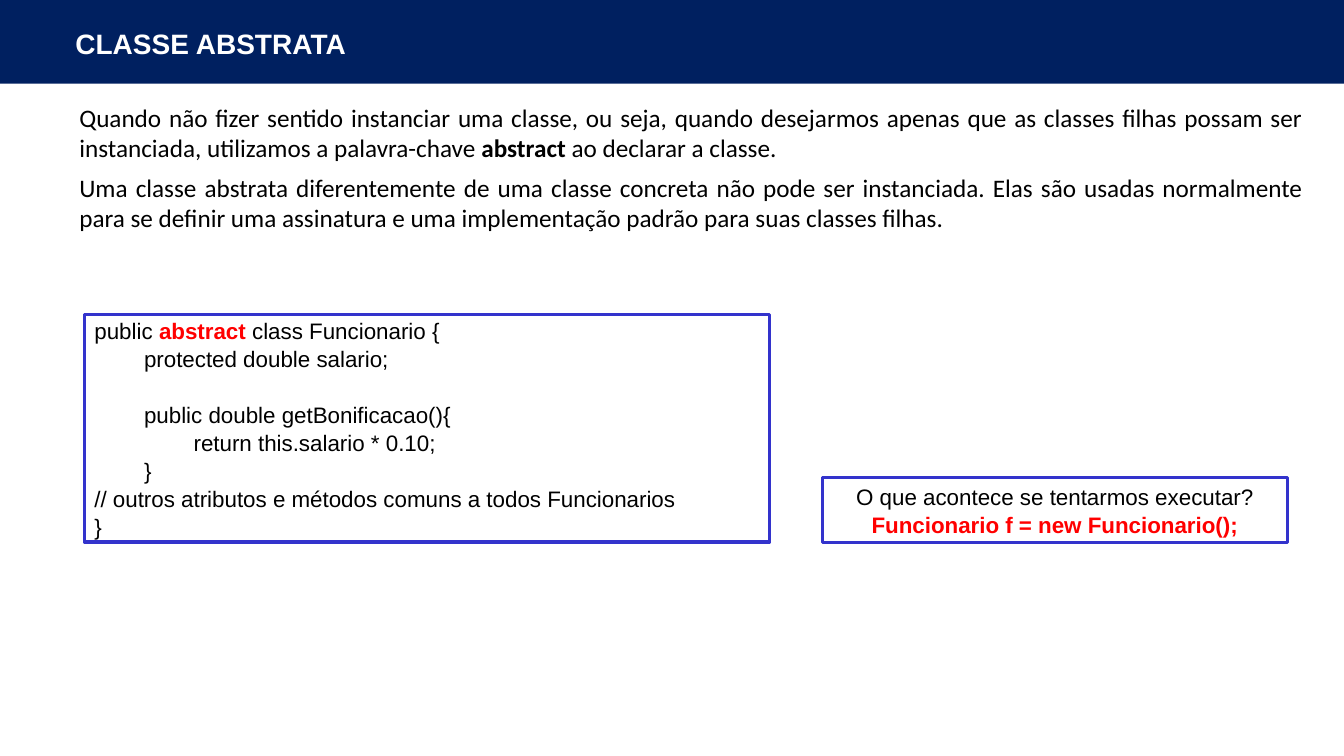
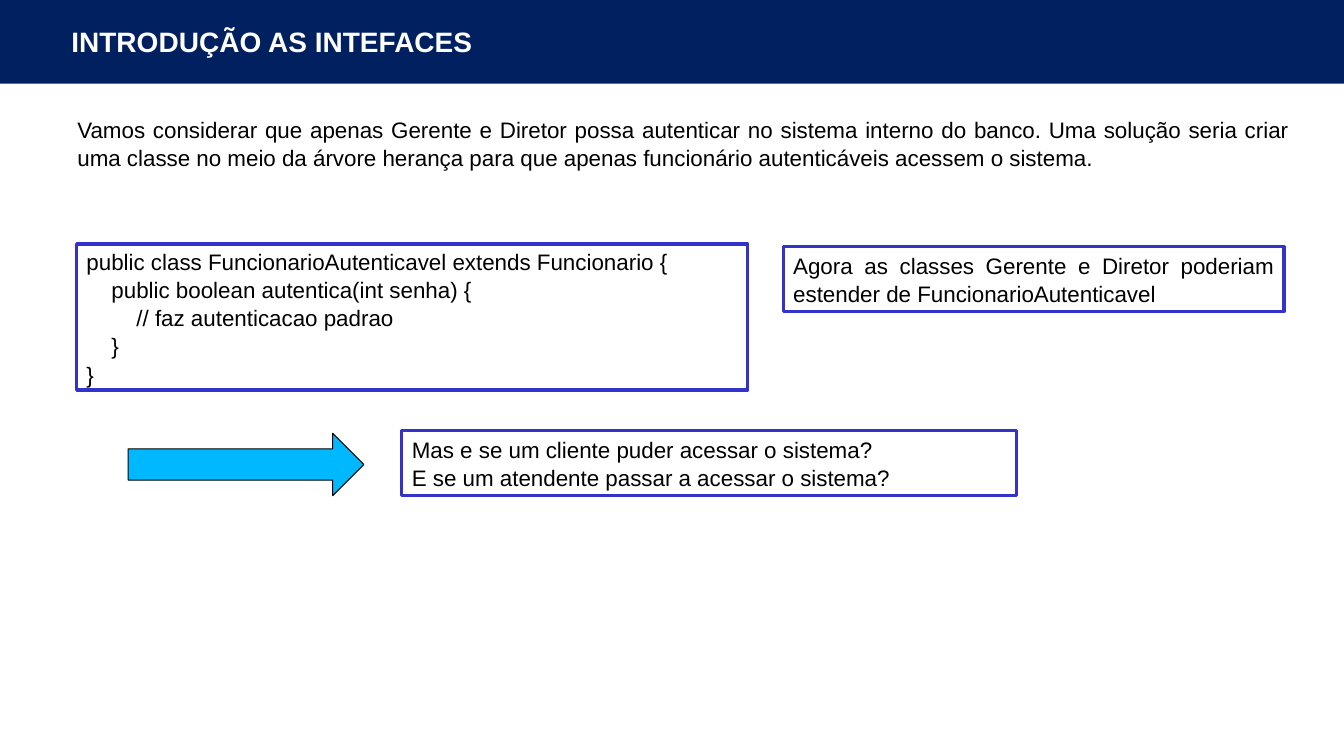
from dataclasses import dataclass

from pptx import Presentation
from pptx.dml.color import RGBColor
from pptx.enum.shapes import MSO_SHAPE
from pptx.enum.text import MSO_ANCHOR, PP_ALIGN
from pptx.util import Cm, Pt


@dataclass(frozen=True)
class Theme:
    navy: RGBColor = RGBColor(0x00, 0x20, 0x60)
    frame: RGBColor = RGBColor(0x33, 0x33, 0xCC)
    arrow: RGBColor = RGBColor(0x00, 0xB8, 0xFF)
    accent: RGBColor = RGBColor(0xFF, 0x00, 0x00)
    black: RGBColor = RGBColor(0x00, 0x00, 0x00)
    white: RGBColor = RGBColor(0xFF, 0xFF, 0xFF)
    font: str = "Arial"
    reading_font: str = "Calibri"
    title_size: int = 20
    reading_size: int = 18
    text_size: int = 16
    line_spacing: float = 1.05
    reading_spacing: float = 0.98
    frame_width: float = 2.25


THEME = Theme()
PAGE_WIDTH, PAGE_HEIGHT = Cm(33.87), Cm(19.05)
BAND_HEIGHT = Cm(2.11)


@dataclass(frozen=True)
class Line:
    """One paragraph; words between ** marks are emphasised."""
    text: str
    level: int = 0
    before: float = 0


def write_text(shape, lines, *, font=THEME.font, size=THEME.text_size,
               color=THEME.black, emphasis=THEME.accent, bold=False,
               align=PP_ALIGN.LEFT, anchor=MSO_ANCHOR.MIDDLE,
               spacing=THEME.line_spacing, indent=0):
    frame = shape.text_frame
    frame.word_wrap = True
    frame.vertical_anchor = anchor
    for index, line in enumerate(lines):
        para = frame.paragraphs[0] if index == 0 else frame.add_paragraph()
        para.alignment = align
        para.line_spacing = spacing
        para.space_before = Pt(line.before)
        if line.level:
            para._p.get_or_add_pPr().set("marL", str(Cm(indent * line.level)))
        for position, piece in enumerate(line.text.split("**")):
            emphasised = position % 2 == 1
            span = para.add_run()
            span.text = piece
            span.font.name = font
            span.font.size = Pt(size)
            span.font.bold = bold or emphasised
            span.font.color.rgb = emphasis if emphasised else color


def add_text(page, place, lines, **text_format):
    box = page.shapes.add_textbox(*map(Cm, place))
    write_text(box, lines, **text_format)


def add_body(page, place, lines, **text_format):
    add_text(page, place, lines, align=PP_ALIGN.JUSTIFY,
             anchor=MSO_ANCHOR.TOP, **text_format)


def add_filled(page, kind, place, fill):
    shape = page.shapes.add_shape(kind, *place)
    shape.shadow.inherit = False
    shape.fill.solid()
    shape.fill.fore_color.rgb = fill
    shape.line.fill.background()
    return shape


def add_framed(page, place, lines, **text_format):
    box = page.shapes.add_shape(MSO_SHAPE.RECTANGLE, *map(Cm, place))
    box.shadow.inherit = False
    box.fill.background()
    box.line.color.rgb = THEME.frame
    box.line.width = Pt(THEME.frame_width)
    write_text(box, lines, **text_format)


def add_arrow(page, place):
    arrow = add_filled(page, MSO_SHAPE.RIGHT_ARROW, map(Cm, place), THEME.arrow)
    arrow.line.color.rgb = THEME.black
    arrow.line.width = Pt(0.75)


def add_page(deck, title, title_place):
    page = deck.slides.add_slide(deck.slide_layouts[6])
    add_filled(page, MSO_SHAPE.RECTANGLE, (0, 0, PAGE_WIDTH, BAND_HEIGHT), THEME.navy)
    add_text(page, title_place, [Line(title)], size=THEME.title_size,
             color=THEME.white, bold=True, spacing=1.0)
    return page


def add_abstract_class_page(deck):
    page = add_page(deck, "CLASSE ABSTRATA", (1.65, 0, 30.48, 2.16))
    add_body(page, (1.75, 2.49, 31.34, 4.72), [
        Line("Quando não fizer sentido instanciar uma classe, ou seja, quando "
             "desejarmos apenas que as classes filhas possam ser instanciada, "
             "utilizamos a palavra-chave **abstract** ao declarar a classe."),
        Line("Uma classe abstrata diferentemente de uma classe concreta não pode "
             "ser instanciada. Elas são usadas normalmente para se definir uma "
             "assinatura e uma implementação padrão para suas classes filhas.",
             before=8),
    ], font=THEME.reading_font, size=THEME.reading_size,
        emphasis=THEME.black, spacing=THEME.reading_spacing)
    add_framed(page, (2.13, 7.92, 17.27, 5.74), [
        Line("public **abstract** class Funcionario {"),
        Line("protected double salario;", level=1),
        Line("public double getBonificacao(){", level=1, before=19.3),
        Line("return this.salario * 0.10;", level=2),
        Line("}", level=1),
        Line("// outros atributos e métodos comuns a todos Funcionarios"),
        Line("}"),
    ], indent=1.25)
    add_framed(page, (20.73, 12.04, 11.71, 1.63), [
        Line("O que acontece se tentarmos executar?"),
        Line("**Funcionario f = new Funcionario();**"),
    ], align=PP_ALIGN.CENTER)


def add_interfaces_page(deck):
    page = add_page(deck, "INTRODUÇÃO AS INTEFACES", (1.55, 0, 30.48, 2.08))
    add_body(page, (1.7, 2.77, 31.04, 2.74), [
        Line("Vamos considerar que apenas Gerente e Diretor possa autenticar no "
             "sistema interno do banco. Uma solução seria criar uma classe no meio "
             "da árvore herança para que apenas funcionário autenticáveis acessem "
             "o sistema."),
    ])
    add_framed(page, (1.93, 6.15, 16.92, 3.68), [
        Line("public class FuncionarioAutenticavel extends Funcionario {"),
        Line("public boolean autentica(int senha) {", level=1),
        Line("// faz autenticacao padrao", level=2),
        Line("}", level=1),
        Line("}"),
    ], indent=0.63)
    add_framed(page, (19.74, 6.22, 12.62, 1.63), [
        Line("Agora as classes Gerente e Diretor poderiam estender de "
             "FuncionarioAutenticavel"),
    ], align=PP_ALIGN.JUSTIFY)
    add_framed(page, (10.13, 10.85, 15.49, 1.63), [
        Line("Mas e se um cliente puder acessar o sistema?"),
        Line("E se um atendente passar a acessar o sistema?"),
    ])
    add_arrow(page, (3.23, 10.92, 5.94, 1.57))


def main():
    deck = Presentation()
    deck.slide_width, deck.slide_height = PAGE_WIDTH, PAGE_HEIGHT
    add_abstract_class_page(deck)
    add_interfaces_page(deck)
    deck.save("out.pptx")


if __name__ == "__main__":
    main()
